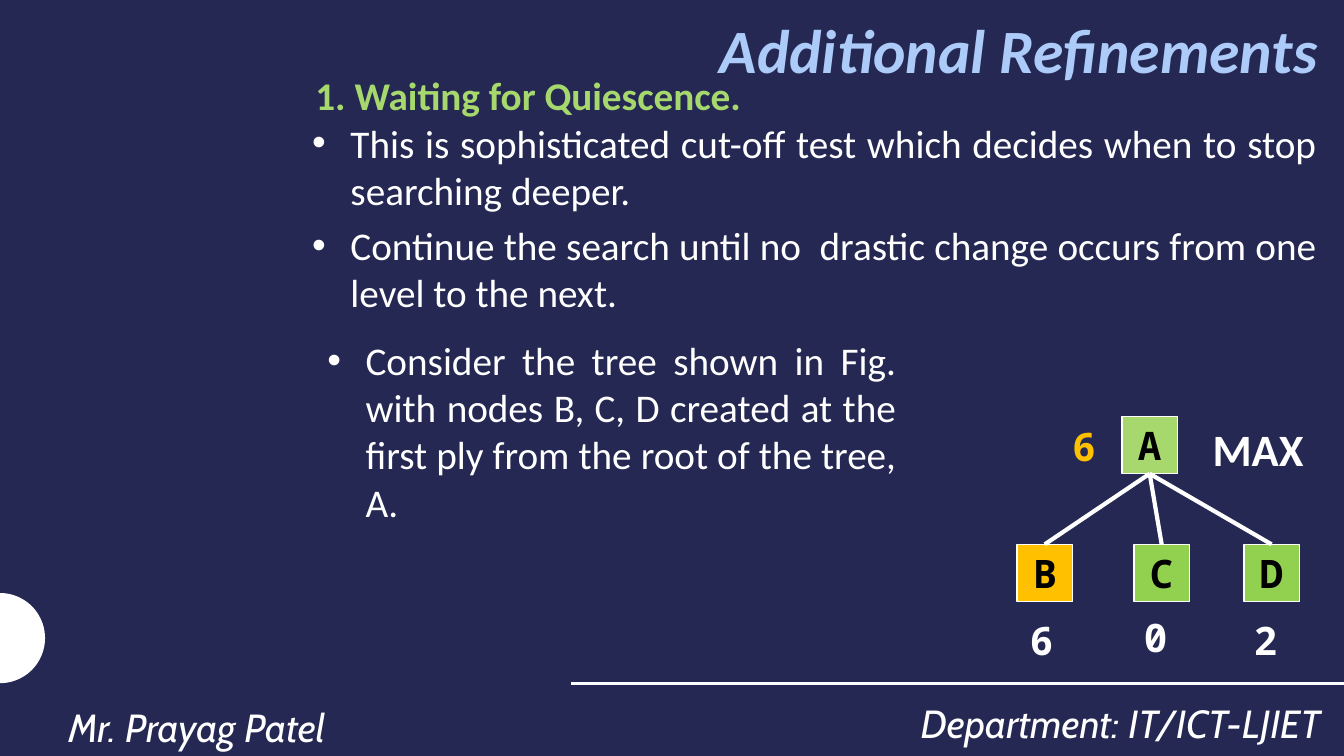
from dataclasses import dataclass
from math import cos, pi, sin

from lxml.etree import SubElement
from pptx import Presentation
from pptx.dml.color import RGBColor
from pptx.enum.shapes import MSO_CONNECTOR, MSO_SHAPE
from pptx.enum.text import MSO_ANCHOR, PP_ALIGN
from pptx.oxml.ns import qn
from pptx.shapes.autoshape import Shape
from pptx.shapes.connector import Connector
from pptx.slide import Slide
from pptx.text.text import TextFrame
from pptx.util import Pt

NAVY, WHITE, BLACK = "242852", "FFFFFF", "000000"
PALE_BLUE, LIGHT_GREEN, GREEN, AMBER = "ACCBF9", "A6D86E", "92D050", "FFC000"

BODY = {"name": "Calibri", "size": Pt(28)}
HEADING = BODY | {"bold": True}
TITLE = {"name": "Calibri", "size": Pt(44), "bold": True, "italic": True}
FOOTER = {"name": "Cabin", "size": Pt(28), "italic": True}
MONO = {"name": "Noto Sans Mono", "size": Pt(28), "bold": True}
LEVEL = {"name": "Calibri", "size": Pt(32), "bold": True}

LEFT = {"alignment": PP_ALIGN.LEFT}
CENTER = {"alignment": PP_ALIGN.CENTER}
RIGHT = {"alignment": PP_ALIGN.RIGHT}
JUSTIFY = {"alignment": PP_ALIGN.JUSTIFY}
BULLET = JUSTIFY | {"space_after": Pt(6)}
FOOTER_LINE = {"line_spacing": 1.14}

NODE_WIDTH, NODE_HEIGHT = 39.6, 41
CHILD_TOP = 388.8


@dataclass(frozen=True)
class Label:
    lines: tuple[str, ...]
    left: float
    top: float
    width: float
    height: float
    font: dict
    color: str = WHITE
    layout: dict | None = None
    bulleted: bool = False
    wrap: bool = True
    anchor: MSO_ANCHOR = MSO_ANCHOR.TOP


@dataclass(frozen=True)
class Node:
    name: str
    left: float
    top: float
    fill: str


LABELS = (
    Label(("Department: IT/ICT-LJIET",), 581.8, 491, 368.6, 45.4, FOOTER, layout=RIGHT | FOOTER_LINE),
    Label(("Mr. Prayag Patel",), 41.8, 494, 613.4, 45.4, FOOTER, layout=LEFT | FOOTER_LINE),
    Label(("Additional Refinements",), 152.6, 2.2, 796.3, 64.8, TITLE, PALE_BLUE, RIGHT,
          anchor=MSO_ANCHOR.MIDDLE),
    Label(("1. Waiting for Quiescence.",), 218.2, 47.5, 429.8, 41, HEADING, LIGHT_GREEN, JUSTIFY),
    Label((
        "This is sophisticated cut-off test which decides when to stop searching deeper.",
        "Continue the search until no  drastic change occurs from one level to the next.",
    ), 215.3, 81.4, 732.2, 149, BODY, layout=BULLET, bulleted=True),
    Label((
        "Consider the tree shown in Fig. with nodes B, C, D created at the first ply "
        "from the root of the tree, A.",
    ), 226.1, 236.9, 421.2, 143.3, BODY, layout=BULLET, bulleted=True),
    Label(("0",), 810, 434.9, 39.6, 41, MONO),
    Label(("6",), 728.6, 437, 30.2, 41, MONO),
    Label(("2",), 888.5, 437, 39.6, 41, MONO),
    Label(("6",), 758.9, 298.1, 30.2, 41, MONO, AMBER),
    Label(("MAX",), 859, 297.4, 79.9, 46, LEVEL, wrap=False),
)

ROOT = Node("A", 801.4, 297.4, LIGHT_GREEN)
CHILDREN = (
    Node("B", 726.5, CHILD_TOP, AMBER),
    Node("C", 810, CHILD_TOP, GREEN),
    Node("D", 888.5, CHILD_TOP, GREEN),
)


def rgb(color: str) -> RGBColor:
    return RGBColor.from_string(color)


def apply_format(target: object, values: dict) -> None:
    for name, value in values.items():
        setattr(target, name, value)


def add_bullet(paragraph) -> None:
    properties = paragraph._p.get_or_add_pPr()
    properties.set("marL", str(Pt(28)))
    properties.set("indent", str(Pt(-27.4)))
    SubElement(properties, qn("a:buFont")).set("typeface", "Arial")
    SubElement(properties, qn("a:buChar")).set("char", "•")


def write_text(frame: TextFrame, lines: tuple[str, ...], font: dict, color: str,
               layout: dict, bulleted: bool = False) -> None:
    for index, line in enumerate(lines):
        paragraph = frame.add_paragraph() if index else frame.paragraphs[0]
        paragraph.text = line
        if bulleted:
            add_bullet(paragraph)
        apply_format(paragraph, layout)
        apply_format(paragraph.font, font)
        paragraph.font.color.rgb = rgb(color)


def add_label(slide: Slide, label: Label) -> None:
    box = slide.shapes.add_textbox(Pt(label.left), Pt(label.top), Pt(label.width), Pt(label.height))
    apply_format(box.text_frame, {"word_wrap": label.wrap, "vertical_anchor": label.anchor})
    write_text(box.text_frame, label.lines, label.font, label.color, label.layout or LEFT, label.bulleted)


def add_node(slide: Slide, node: Node) -> Shape:
    shape = slide.shapes.add_shape(
        MSO_SHAPE.RECTANGLE, Pt(node.left), Pt(node.top), Pt(NODE_WIDTH), Pt(NODE_HEIGHT))
    shape.shadow.inherit = False
    shape.fill.solid()
    shape.fill.fore_color.rgb = rgb(node.fill)
    shape.line.color.rgb = rgb(WHITE)
    shape.line.width = Pt(1)
    apply_format(shape.text_frame, {"word_wrap": False, "vertical_anchor": MSO_ANCHOR.MIDDLE})
    write_text(shape.text_frame, (node.name,), MONO, BLACK, CENTER)
    return shape


def add_line(slide: Slide, start: tuple[float, float], end: tuple[float, float], width: float) -> Connector:
    line = slide.shapes.add_connector(
        MSO_CONNECTOR.STRAIGHT, *(Pt(value) for value in (*start, *end)))
    line.line.color.rgb = rgb(WHITE)
    line.line.width = Pt(width)
    SubElement(line._element.spPr, qn("a:effectLst"))
    return line


def add_half_disc(slide: Slide, center_y: float, radius: float, steps: int = 48) -> None:
    angles = [pi * step / steps - pi / 2 for step in range(steps + 1)]
    points = [(Pt(radius * cos(angle)), Pt(center_y + radius * sin(angle))) for angle in angles]
    builder = slide.shapes.build_freeform(*points[0])
    builder.add_line_segments(points[1:], close=True)
    shape = builder.convert_to_shape()
    shape.shadow.inherit = False
    shape.fill.solid()
    shape.fill.fore_color.rgb = rgb(WHITE)
    shape.line.fill.background()


def add_tree(slide: Slide) -> None:
    root = add_node(slide, ROOT)
    for child in CHILDREN:
        shape = add_node(slide, child)
        branch = add_line(slide, (ROOT.left, ROOT.top), (child.left, child.top), 3)
        branch.begin_connect(root, 2)
        branch.end_connect(shape, 0)


def main() -> None:
    presentation = Presentation()
    presentation.slide_width, presentation.slide_height = Pt(960), Pt(540)
    slide = presentation.slides.add_slide(presentation.slide_layouts[6])
    slide.background.fill.solid()
    slide.background.fill.fore_color.rgb = rgb(NAVY)
    add_half_disc(slide, 455.8, 32.2)
    add_line(slide, (408, 488), (960, 488), 2)
    for label in LABELS:
        add_label(slide, label)
    add_tree(slide)
    presentation.save("out.pptx")


if __name__ == "__main__":
    main()
